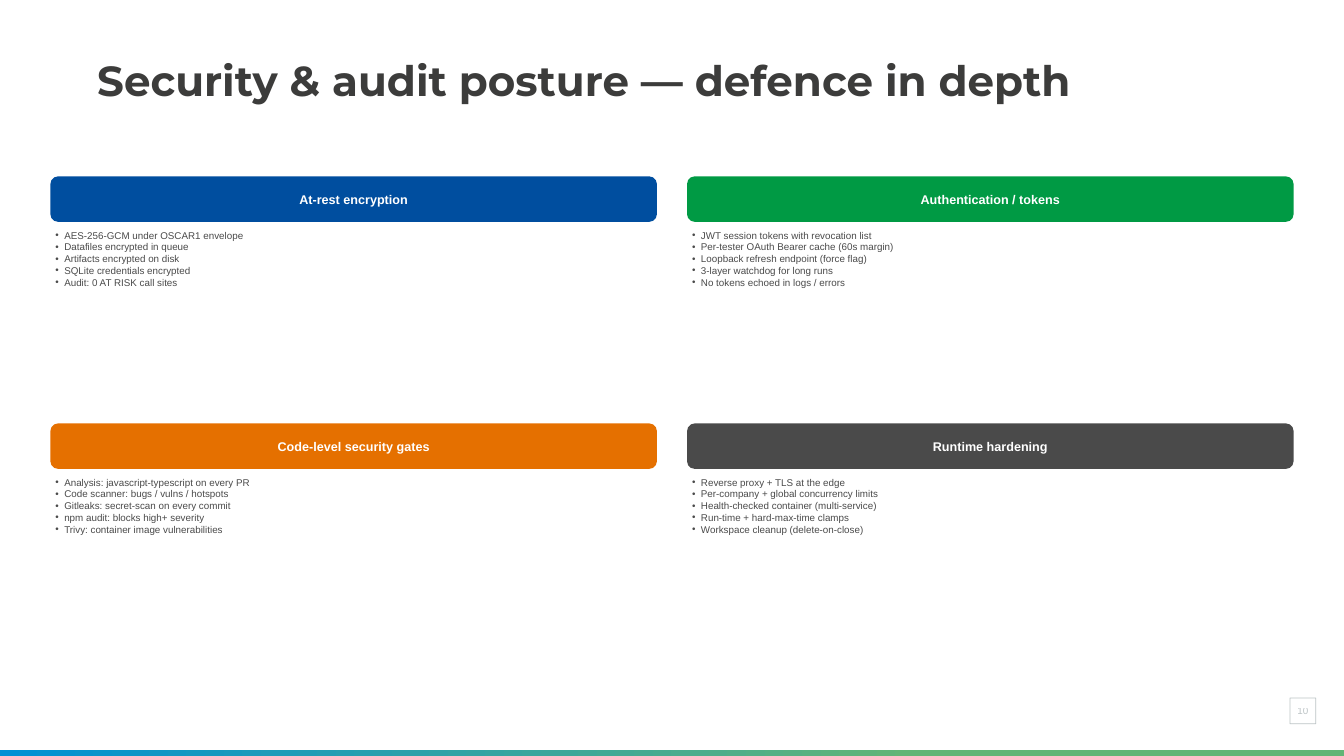
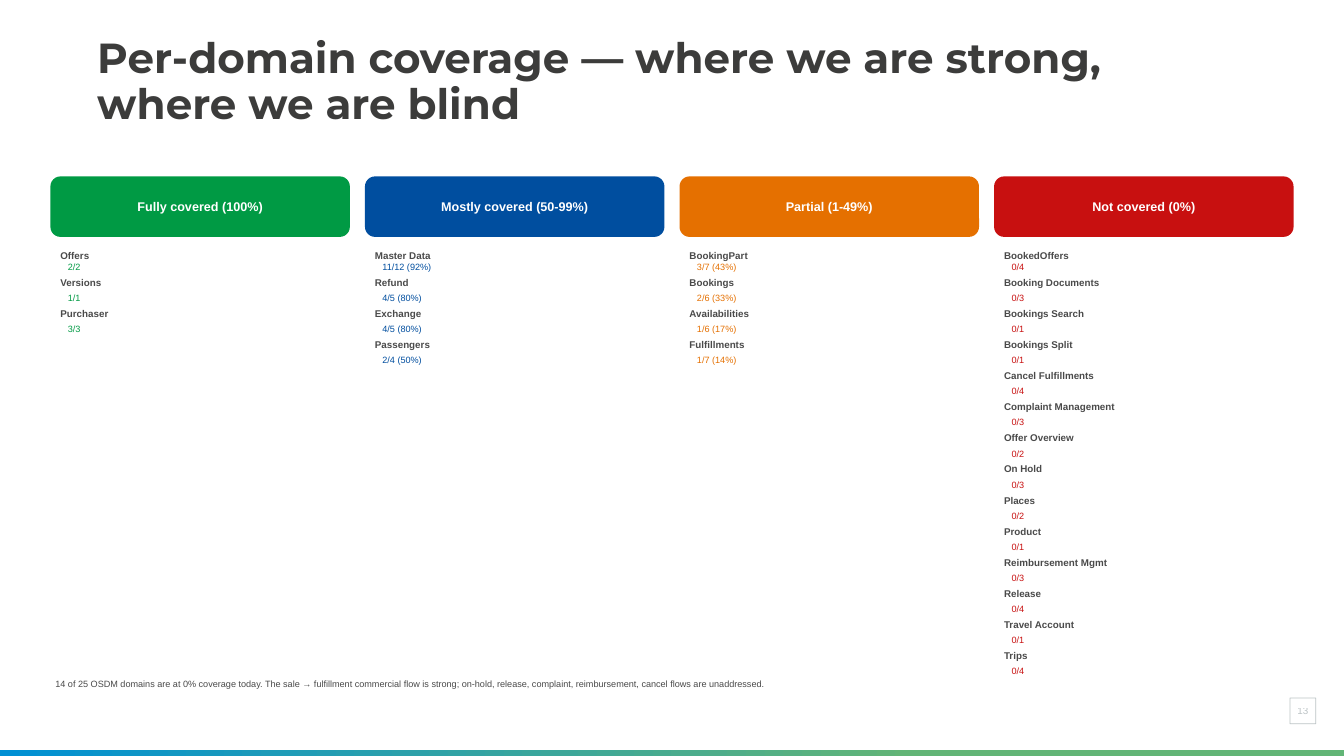
from dataclasses import dataclass
from typing import NamedTuple

from lxml.etree import SubElement
from pptx import Presentation
from pptx.dml.color import RGBColor
from pptx.enum.shapes import MSO_SHAPE
from pptx.enum.text import MSO_ANCHOR, MSO_AUTO_SIZE, PP_ALIGN
from pptx.oxml.ns import qn
from pptx.util import Cm, Pt


# Theme: colours, fonts and type sizes
@dataclass(frozen=True)
class Theme:
    title_ink: str = "3C3C3B"
    body_ink: str = "4A4A4A"
    white: str = "FFFFFF"
    blue: str = "004E9F"
    green: str = "009A44"
    orange: str = "E57000"
    red: str = "C81010"
    page_grey: str = "7A888C"
    strip_blue: str = "0090D4"
    strip_green: str = "62B576"
    title_font: str = "Montserrat"
    body_font: str = "Arial"
    title_size: int = 60
    heading_size: int = 18
    body_size: int = 14
    small_size: int = 13


THEME = Theme()

# Page geometry in centimetres
PAGE_WIDTH, PAGE_HEIGHT = 67.72, 38.1
MARGIN = 2.54
CONTENT_TOP = 8.89
CONTENT_WIDTH = PAGE_WIDTH - 2 * MARGIN
STRIP_HEIGHT = 0.3


class Box(NamedTuple):
    left: float
    top: float
    width: float
    height: float

    def lengths(self) -> list[Cm]:
        return [Cm(value) for value in self]


class Topic(NamedTuple):
    heading: str
    color: str
    points: list[str]


class Domain(NamedTuple):
    name: str
    score: str


class Level(NamedTuple):
    heading: str
    color: str
    domains: list[Domain]


# Content
TOPICS = [
    Topic("At-rest encryption", THEME.blue, [
        "AES-256-GCM under OSCAR1 envelope",
        "Datafiles encrypted in queue",
        "Artifacts encrypted on disk",
        "SQLite credentials encrypted",
        "Audit: 0 AT RISK call sites",
    ]),
    Topic("Authentication / tokens", THEME.green, [
        "JWT session tokens with revocation list",
        "Per-tester OAuth Bearer cache (60s margin)",
        "Loopback refresh endpoint (force flag)",
        "3-layer watchdog for long runs",
        "No tokens echoed in logs / errors",
    ]),
    Topic("Code-level security gates", THEME.orange, [
        "Analysis: javascript-typescript on every PR",
        "Code scanner: bugs / vulns / hotspots",
        "Gitleaks: secret-scan on every commit",
        "npm audit: blocks high+ severity",
        "Trivy: container image vulnerabilities",
    ]),
    Topic("Runtime hardening", THEME.body_ink, [
        "Reverse proxy + TLS at the edge",
        "Per-company + global concurrency limits",
        "Health-checked container (multi-service)",
        "Run-time + hard-max-time clamps",
        "Workspace cleanup (delete-on-close)",
    ]),
]

LEVELS = [
    Level("Fully covered (100%)", THEME.green, [
        Domain("Offers", "2/2"),
        Domain("Versions", "1/1"),
        Domain("Purchaser", "3/3"),
    ]),
    Level("Mostly covered (50-99%)", THEME.blue, [
        Domain("Master Data", "11/12 (92%)"),
        Domain("Refund", "4/5 (80%)"),
        Domain("Exchange", "4/5 (80%)"),
        Domain("Passengers", "2/4 (50%)"),
    ]),
    Level("Partial (1-49%)", THEME.orange, [
        Domain("BookingPart", "3/7 (43%)"),
        Domain("Bookings", "2/6 (33%)"),
        Domain("Availabilities", "1/6 (17%)"),
        Domain("Fulfillments", "1/7 (14%)"),
    ]),
    Level("Not covered (0%)", THEME.red, [
        Domain("BookedOffers", "0/4"),
        Domain("Booking Documents", "0/3"),
        Domain("Bookings Search", "0/1"),
        Domain("Bookings Split", "0/1"),
        Domain("Cancel Fulfillments", "0/4"),
        Domain("Complaint Management", "0/3"),
        Domain("Offer Overview", "0/2"),
        Domain("On Hold", "0/3"),
        Domain("Places", "0/2"),
        Domain("Product", "0/1"),
        Domain("Reimbursement Mgmt", "0/3"),
        Domain("Release", "0/4"),
        Domain("Travel Account", "0/1"),
        Domain("Trips", "0/4"),
    ]),
]

COVERAGE_NOTE = (
    "14 of 25 OSDM domains are at 0% coverage today. The sale → fulfillment commercial flow "
    "is strong; on-hold, release, complaint, reimbursement, cancel flows are unaddressed."
)


# Drawing helpers
def set_font(paragraph, size: int, color: str, bold: bool = False,
             font_name: str = THEME.body_font) -> None:
    font = paragraph.font
    font.name, font.size, font.bold = font_name, Pt(size), bold
    font.color.rgb = RGBColor.from_string(color)


def make_half_transparent(element) -> None:
    for color in element.iter(qn("a:srgbClr")):
        SubElement(color, qn("a:alpha")).set("val", "50000")


def add_shape(slide, kind: MSO_SHAPE, box: Box):
    shape = slide.shapes.add_shape(kind, *box.lengths())
    shape.shadow.inherit = False
    return shape


def add_text_frame(slide, box: Box):
    frame = slide.shapes.add_textbox(*box.lengths()).text_frame
    frame.word_wrap = True
    frame.auto_size = MSO_AUTO_SIZE.SHAPE_TO_FIT_TEXT
    return frame


def next_paragraph(frame, text: str):
    """Fill the frame's empty first paragraph, or append one."""
    first = frame.paragraphs[0]
    paragraph = frame.add_paragraph() if first.runs else first
    paragraph.add_run().text = text
    return paragraph


def set_indent(paragraph, left: float, first_line: float = 0):
    properties = paragraph._p.get_or_add_pPr()
    properties.set("marL", str(Cm(left)))
    properties.set("indent", str(Cm(first_line)))
    return properties


def add_heading(slide, box: Box, text: str, color: str) -> None:
    heading = add_shape(slide, MSO_SHAPE.ROUNDED_RECTANGLE, box)
    heading.fill.solid()
    heading.fill.fore_color.rgb = RGBColor.from_string(color)
    heading.line.fill.background()
    heading.text_frame.vertical_anchor = MSO_ANCHOR.MIDDLE
    paragraph = next_paragraph(heading.text_frame, text)
    paragraph.alignment = PP_ALIGN.CENTER
    set_font(paragraph, THEME.heading_size, THEME.white, bold=True)


# Shared frame: gradient strip, page number and title
def add_strip(slide) -> None:
    strip = add_shape(slide, MSO_SHAPE.RECTANGLE,
                      Box(0, PAGE_HEIGHT - STRIP_HEIGHT, PAGE_WIDTH, STRIP_HEIGHT))
    strip.fill.gradient()
    strip.fill.gradient_angle = 180
    stops = [(0.32, THEME.strip_green), (1, THEME.strip_blue)]
    for stop, (position, color) in zip(strip.fill.gradient_stops, stops):
        stop.position = position
        stop.color.rgb = RGBColor.from_string(color)
    strip.line.fill.background()


def add_page_number(slide, number: int) -> None:
    frame = add_text_frame(slide, Box(64.9, 35.41, 1.5, 0.86))
    frame.margin_left = frame.margin_right = 0
    paragraph = next_paragraph(frame, str(number))
    paragraph.alignment = PP_ALIGN.CENTER
    set_font(paragraph, THEME.body_size, THEME.page_grey)
    make_half_transparent(paragraph._p)

    border = add_shape(slide, MSO_SHAPE.RECTANGLE, Box(65, 35.18, 1.3, 1.3))
    border.fill.background()
    border.line.color.rgb = RGBColor.from_string(THEME.page_grey)
    border.line.width = Pt(1)
    make_half_transparent(border.line._get_or_add_ln())


def add_framed_slide(deck, title: str, number: int):
    slide = deck.slides.add_slide(deck.slide_layouts[6])
    slide.background.fill.solid()
    slide.background.fill.fore_color.rgb = RGBColor.from_string(THEME.white)
    add_strip(slide)
    add_page_number(slide, number)
    frame = add_text_frame(slide, Box(4.65, 2.03, 58.39, 4.29))
    frame.auto_size = MSO_AUTO_SIZE.NONE
    frame.vertical_anchor = MSO_ANCHOR.MIDDLE
    paragraph = next_paragraph(frame, title)
    paragraph.line_spacing = 0.9
    set_font(paragraph, THEME.title_size, THEME.title_ink, True, THEME.title_font)
    return slide


# Security slide: two-by-two grid of topics
def add_topic(slide, topic: Topic, left: float, top: float, width: float) -> None:
    add_heading(slide, Box(left, top, width, 2.29), topic.heading, topic.color)
    frame = add_text_frame(slide, Box(left, top + 2.54, width, 8.89))
    for point in topic.points:
        paragraph = next_paragraph(frame, point)
        properties = set_indent(paragraph, 0.45, -0.45)
        SubElement(properties, qn("a:buFont")).set("typeface", THEME.body_font)
        SubElement(properties, qn("a:buChar")).set("char", "•")
        set_font(paragraph, THEME.body_size, THEME.body_ink)


def build_security_slide(deck) -> None:
    slide = add_framed_slide(deck, "Security & audit posture — defence in depth", 10)
    gap, row_pitch = 1.52, 12.45
    width = (CONTENT_WIDTH - gap) / 2
    for index, topic in enumerate(TOPICS):
        row, column = divmod(index, 2)
        add_topic(slide, topic, MARGIN + column * (width + gap),
                  CONTENT_TOP + row * row_pitch, width)


# Coverage slide: one column per coverage level
def add_level(slide, level: Level, left: float, width: float) -> None:
    add_heading(slide, Box(left, CONTENT_TOP, width, 3.05), level.heading, level.color)
    inset = 0.25
    frame = add_text_frame(slide, Box(left + inset, 12.45, width - 2 * inset, 24.13))
    for index, domain in enumerate(level.domains):
        name = next_paragraph(frame, domain.name)
        name.space_after = Pt(6 if index else 0)
        set_font(name, THEME.body_size, THEME.body_ink, bold=True)
        score = next_paragraph(frame, domain.score)
        set_indent(score, 0.38)
        score.space_after = Pt(6)
        set_font(score, THEME.small_size, level.color)


def build_coverage_slide(deck) -> None:
    slide = add_framed_slide(
        deck, "Per-domain coverage — where we are strong, where we are blind", 13)
    gap = 0.76
    width = (CONTENT_WIDTH - gap * (len(LEVELS) - 1)) / len(LEVELS)
    for column, level in enumerate(LEVELS):
        add_level(slide, level, MARGIN + column * (width + gap), width)
    note = next_paragraph(add_text_frame(slide, Box(MARGIN, 34.04, CONTENT_WIDTH, 1.27)),
                          COVERAGE_NOTE)
    set_font(note, THEME.small_size, THEME.body_ink)


def main() -> None:
    deck = Presentation()
    deck.slide_width, deck.slide_height = Cm(PAGE_WIDTH), Cm(PAGE_HEIGHT)
    build_security_slide(deck)
    build_coverage_slide(deck)
    deck.save("out.pptx")


if __name__ == "__main__":
    main()
